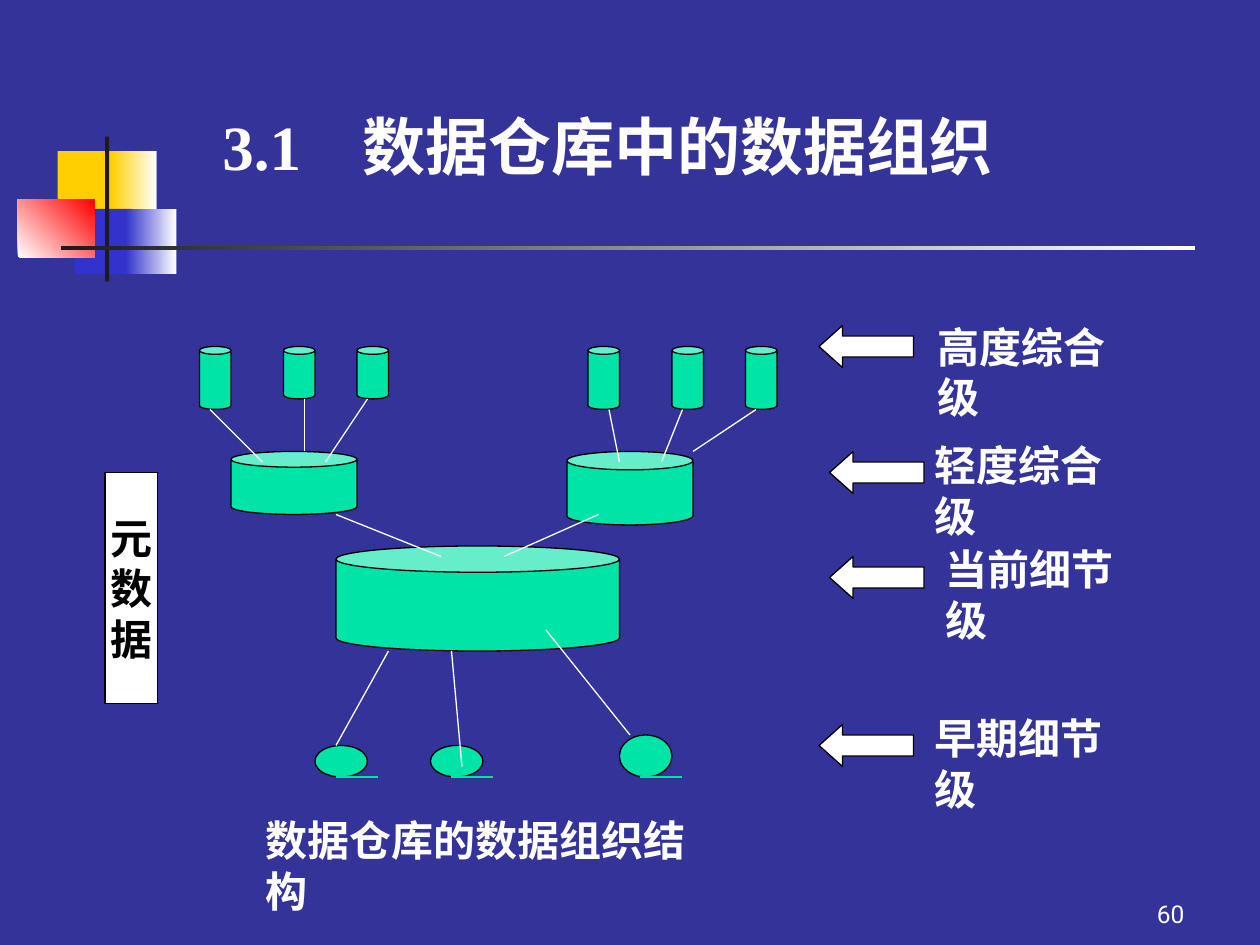
from lxml import etree
from pptx import Presentation
from pptx.dml.color import RGBColor
from pptx.enum.shapes import MSO_CONNECTOR, MSO_SHAPE
from pptx.enum.text import MSO_ANCHOR, MSO_AUTO_SIZE, PP_ALIGN
from pptx.oxml.ns import qn
from pptx.util import Pt

PX = 7620
RECT, OVAL = MSO_SHAPE.RECTANGLE, MSO_SHAPE.OVAL
CAN, ARROW = MSO_SHAPE.CAN, MSO_SHAPE.LEFT_ARROW
STRAIGHT = MSO_CONNECTOR.STRAIGHT
TOP, MIDDLE, BOTTOM = MSO_ANCHOR.TOP, MSO_ANCHOR.MIDDLE, MSO_ANCHOR.BOTTOM
LEFT, CENTER, RIGHT = PP_ALIGN.LEFT, PP_ALIGN.CENTER, PP_ALIGN.RIGHT
GROW = MSO_AUTO_SIZE.SHAPE_TO_FIT_TEXT

NAVY = RGBColor(0x33, 0x33, 0x99)
YELLOW = RGBColor(0xFF, 0xCF, 0x01)
BLUE = RGBColor(0x33, 0x33, 0xCC)
RED = RGBColor(0xFF, 0x00, 0x00)
CHARCOAL = RGBColor(0x1C, 0x1C, 0x1C)
GREEN = RGBColor(0x00, 0xE4, 0xA8)
WHITE = RGBColor(0xFF, 0xFF, 0xFF)
BLACK = RGBColor(0x00, 0x00, 0x00)

LABEL = {"name": "Roboto", "size": Pt(24), "bold": True}
TITLE = {"name": "Times New Roman", "size": Pt(36), "bold": True}
NUMBER = {"name": "Roboto", "size": Pt(14), "bold": False}


def scaled(*lengths):
    """Turn px lengths into EMU."""
    return [length * PX for length in lengths]


def add_solid(page, kind, box, fill, outlined=True):
    """Add a filled preset shape; a pair of colours makes a gradient."""
    shape = page.shapes.add_shape(kind, *scaled(*box))
    shape.shadow.inherit = False
    if isinstance(fill, RGBColor):
        shape.fill.solid()
        shape.fill.fore_color.rgb = fill
    else:
        shape.fill.gradient()
        shape.fill.gradient_angle = 0
        for stop, color in zip(shape.fill.gradient_stops, fill):
            stop.color.rgb = color
    if outlined:
        shape.line.color.rgb = BLACK
        shape.line.width = Pt(0.75)
    else:
        shape.line.fill.background()
    return shape


def add_link(page, start, end, color=WHITE):
    """Add a thin straight line between two points."""
    link = page.shapes.add_connector(STRAIGHT, *scaled(*start, *end))
    link.line.color.rgb = color
    link.line.width = Pt(0.75)
    etree.SubElement(link._element.spPr, qn("a:effectLst"))


def write(shape, lines, style, color, align=LEFT, tab=None, **frame_format):
    """Write paragraphs in one style into a shape or text box."""
    frame = shape.text_frame
    for name, value in frame_format.items():
        setattr(frame, name, value)
    for index, line in enumerate(lines):
        para = frame.add_paragraph() if index else frame.paragraphs[0]
        para.alignment = align
        if tab:
            tabs = etree.SubElement(para._p.get_or_add_pPr(), qn("a:tabLst"))
            etree.SubElement(tabs, qn("a:tab"), pos=str(tab * PX), algn="l")
        span = para.add_run()
        span.text = line
        for name, value in style.items():
            setattr(span.font, name, value)
        span.font.color.rgb = color


def add_text(page, box, line, style, **options):
    """Add a text box holding one white line."""
    write(page.shapes.add_textbox(*scaled(*box)), [line], style, WHITE, **options)


def add_ornament(page, left, top):
    """Draw the coloured squares and the crossing rules."""
    parts = [
        (38, 14, 58, 62, YELLOW),
        (89, 14, 43, 62, (YELLOW, WHITE)),
        (54, 69, 55, 62, BLUE),
        (103, 69, 48, 62, (BLUE, WHITE)),
        (0, 60, 73, 55, (WHITE, RED)),
        (83, 0, 4, 138, CHARCOAL),
        (41, 104, 1080, 4, (CHARCOAL, WHITE)),
    ]
    for x, y, width, height, fill in parts:
        part = add_solid(page, RECT, (left + x, top + y, width, height), fill, False)
        if fill == (WHITE, RED):
            part.fill.gradient_angle = 45


def add_heading(page, left, top, width, height):
    """Place the slide title."""
    add_text(page, (left, top, width, height), "3.1\t数据仓库中的数据组织", TITLE, tab=133,
             word_wrap=True, vertical_anchor=TOP,
             margin_top=22 * PX, margin_bottom=22 * PX)


def add_warehouse(page, left, top):
    """Draw the stores, the early detail discs and their links."""
    discs = [(110, 380, 50, 30), (220, 380, 50, 30), (400, 370, 50, 40)]
    small = [(0, 60), (80, 50), (150, 50), (370, 60), (450, 60), (520, 60)]
    cans = [(130, 190, 270, 100), (30, 100, 120, 60), (350, 100, 120, 70)]
    cans += [(x, 0, 30, height) for x, height in small]
    links = [
        (410, 370, 330, 270), (250, 400, 240, 290), (180, 290, 130, 380),
        (380, 160, 290, 200), (130, 160, 230, 200),
        (10, 60, 60, 110), (100, 50, 100, 100), (160, 50, 120, 110),
        (390, 60, 400, 110), (460, 60, 440, 110), (530, 60, 470, 100),
    ]
    for kind, boxes in ((OVAL, discs), (CAN, cans)):
        for x, y, width, height in boxes:
            add_solid(page, kind, (left + x, top + y, width, height), GREEN)
    for x1, y1, x2, y2 in links:
        add_link(page, (left + x1, top + y1), (left + x2, top + y2))
    for x, y, _, height in discs:
        base = top + y + height
        add_link(page, (left + x + 20, base), (left + x + 60, base), GREEN)


def add_metadata(page, left, top, width, height):
    """Place the upright metadata panel."""
    panel = add_solid(page, RECT, (left, top, width, height), WHITE)
    write(panel, "元数据", LABEL, BLACK, align=CENTER,
          word_wrap=False, vertical_anchor=MIDDLE)


def add_levels(page, left, top):
    """Place an arrow and a label for each level of detail."""
    levels = [
        ("高度综合级", 0, 10, 101, 0),
        ("轻度综合级", 10, 130, 98, 113),
        ("当前细节级", 10, 230, 109, 212),
        ("早期细节级", 0, 390, 98, 373),
    ]
    for name, arrow_x, arrow_y, label_x, label_y in levels:
        arrow = add_solid(page, ARROW, (left + arrow_x, top + arrow_y, 90, 40), WHITE)
        arrow.adjustments[1] = 0.56
        add_text(page, (left + label_x, top + label_y, 223, 60), name, LABEL,
                 word_wrap=False, auto_size=GROW)


def add_footer(page, left, top):
    """Place the diagram caption and the page number."""
    add_text(page, (left, top, 463, 60), "数据仓库的数据组织结构", LABEL,
             word_wrap=False, auto_size=GROW)
    add_text(page, (left + 649, top + 60, 250, 60), "60", NUMBER, align=RIGHT,
             word_wrap=True, vertical_anchor=BOTTOM)


def main():
    """Build and save the slide."""
    deck = Presentation()
    deck.slide_width, deck.slide_height = scaled(1200, 900)
    page = deck.slides.add_slide(deck.slide_layouts[6])
    page.background.fill.solid()
    page.background.fill.fore_color.rgb = NAVY
    add_ornament(page, 17, 130)
    add_heading(page, 200, 80, 820, 139)
    add_warehouse(page, 190, 330)
    add_metadata(page, 100, 450, 50, 220)
    add_levels(page, 780, 300)
    add_footer(page, 241, 770)
    deck.save("out.pptx")


if __name__ == "__main__":
    main()
